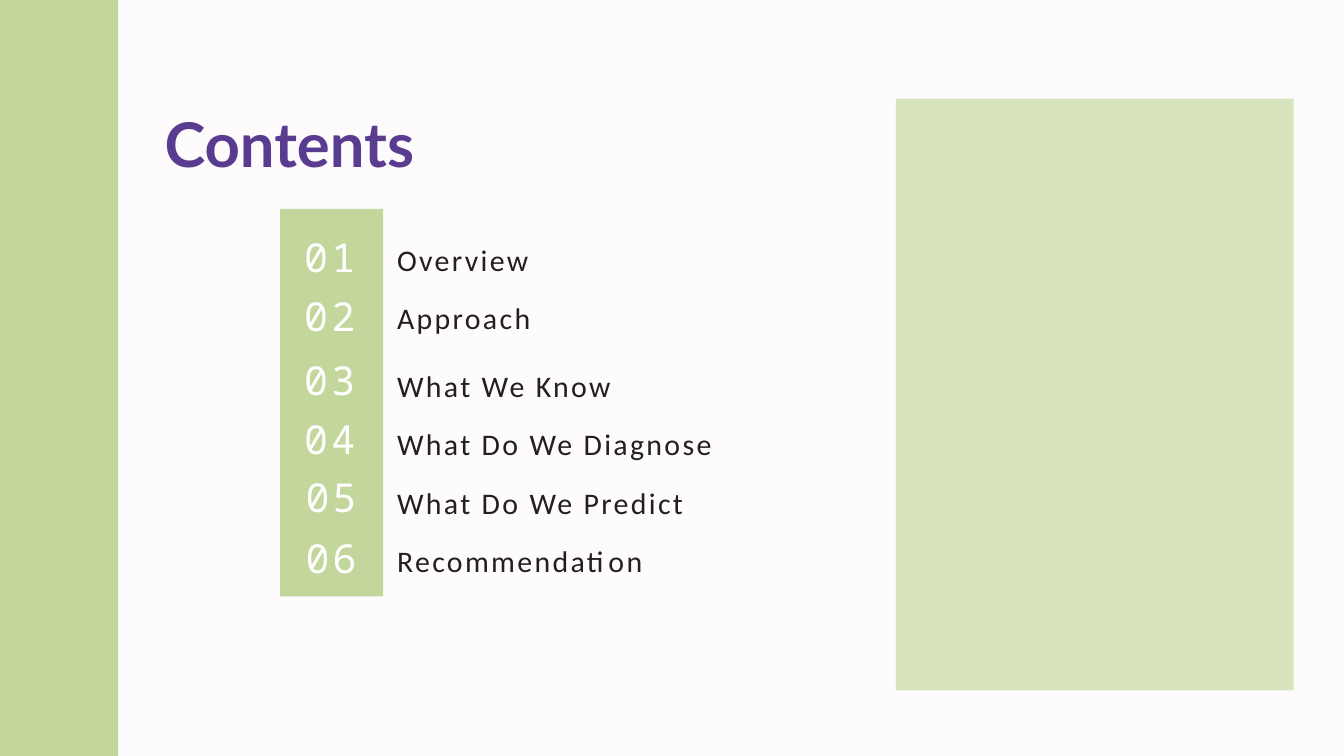
from dataclasses import dataclass

from pptx import Presentation
from pptx.dml.color import RGBColor
from pptx.enum.shapes import MSO_SHAPE
from pptx.enum.text import PP_ALIGN
from pptx.util import Cm, Pt

RECT = MSO_SHAPE.RECTANGLE
LEFT, CENTER = PP_ALIGN.LEFT, PP_ALIGN.CENTER
WIDE, HIGH = 50.8, 28.58


@dataclass(frozen=True)
class Style:
    """Font, size, line pitch and letter spacing in points, colour."""
    font: str
    size: float
    pitch: float
    color: str
    gap: float = 0
    bold: bool = False


@dataclass(frozen=True)
class Theme:
    back: str = "FDFBFB"
    green: str = "C3D69B"
    pale: str = "D7E4BD"
    title: Style = Style("Lato", 66, 108.6, "593C8F", bold=True)
    number: Style = Style("Noto Sans Mono", 42.7, 51.3, "FFFFFF", gap=3.5)
    label: Style = Style("Calibri", 32, 34.8, "231F20", gap=2.5)


THEME = Theme()

# Number text, its left and top within the panel, label
ITEMS = [
    ("01", 0.58, 0.89, "Overview"),
    ("02", 0.58, 3.12, "Approach"),
    ("03", 0.58, 5.56, "What We Know"),
    ("04", 0.58, 7.77, "What Do We Diagnose"),
    ("05", 0.63, 9.98, "What Do We Predict"),
    ("06", 0.63, 12.29, "Recommendation"),
]


def add_block(slide, box, color):
    block = slide.shapes.add_shape(RECT, *map(Cm, box))
    block.shadow.inherit = False
    block.fill.solid()
    block.fill.fore_color.rgb = RGBColor.from_string(color)
    block.line.fill.background()


def add_text(slide, box, text, style, align=LEFT):
    frame = slide.shapes.add_textbox(*map(Cm, box)).text_frame
    frame.word_wrap = True
    frame.margin_left = frame.margin_right = 0
    frame.margin_top = frame.margin_bottom = 0
    para = frame.paragraphs[0]
    para.alignment = align
    para.line_spacing = Pt(style.pitch)
    run = para.add_run()
    run.text = text
    font = run.font
    font.name, font.size, font.bold = style.font, Pt(style.size), style.bold
    font.color.rgb = RGBColor.from_string(style.color)
    if style.gap:
        run._r.get_or_add_rPr().set("spc", str(round(style.gap * 100)))


def add_list(slide, box):
    """Green number panel with the labels to its right."""
    left, top, width, _ = box
    add_block(slide, box, THEME.green)
    for row, (number, shift, drop, label) in enumerate(ITEMS):
        add_text(slide, (left + shift, top + drop, 2.59, 1.98),
                 number, THEME.number, CENTER)
        # The first two rows stand a little apart from the rest
        fall = 1.36 + 2.21 * row + (0.34 if row > 1 else 0)
        add_text(slide, (left + width + 0.53, top + fall, 16.5, 1.24),
                 label, THEME.label)


def add_contents(deck):
    slide = deck.slides.add_slide(deck.slide_layouts[6])
    fill = slide.background.fill
    fill.solid()
    fill.fore_color.rgb = RGBColor.from_string(THEME.back)
    add_list(slide, (10.59, 7.9, 3.89, 14.65))
    add_block(slide, (33.86, 3.73, 15.04, 22.37), THEME.pale)
    add_text(slide, (6.22, 2.95, 43.59, 3.48), "Contents", THEME.title)
    add_block(slide, (0, 0, 4.47, HIGH), THEME.green)


def main():
    deck = Presentation()
    deck.slide_width, deck.slide_height = Cm(WIDE), Cm(HIGH)
    add_contents(deck)
    deck.save("out.pptx")


if __name__ == "__main__":
    main()
